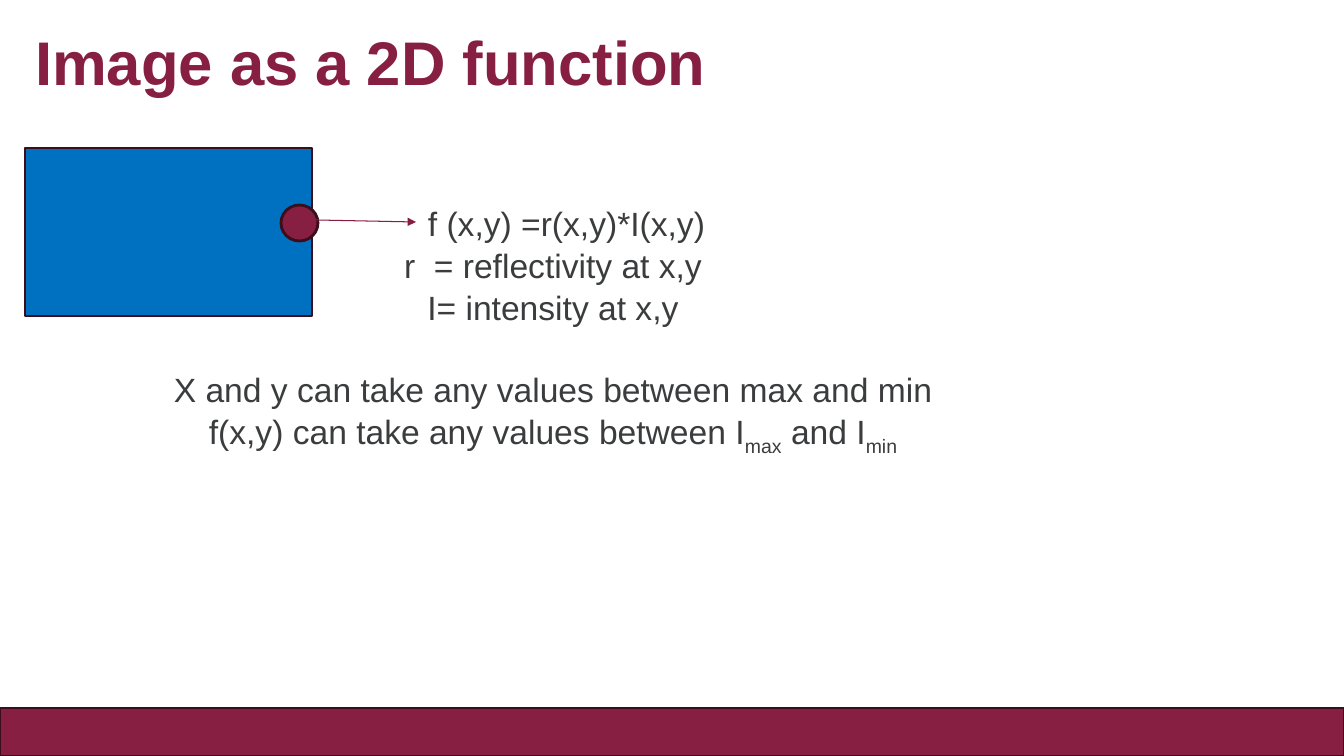
from lxml.etree import SubElement
from pptx import Presentation
from pptx.dml.color import RGBColor
from pptx.enum.shapes import MSO_CONNECTOR, MSO_SHAPE
from pptx.enum.text import MSO_ANCHOR, PP_ALIGN
from pptx.oxml.ns import qn
from pptx.util import Emu, Pt

MAROON, DARK, BLUE, GREY = "861F41", "3B0E1C", "0070C0", "3A3C3D"


def px(n):
    return Emu(round(n * 914400 / 100.8))


def rgb(value):
    return RGBColor.from_string(value)


class SlideBuilder:
    font = "Arial"

    def __init__(self, prs):
        self.s = prs.slides.add_slide(prs.slide_layouts[5])

    def style(self, r, size, color, bold=False):
        r.font.name, r.font.size, r.font.bold = self.font, Pt(size), bold
        r.font.color.rgb = rgb(color)

    def title(self, text, x, y, w, h):
        sp = self.s.shapes.title
        sp.left, sp.top, sp.width, sp.height = map(px, (x, y, w, h))
        tf = sp.text_frame
        tf.text = text
        tf.vertical_anchor = MSO_ANCHOR.MIDDLE
        p = tf.paragraphs[0]
        p.alignment, p.line_spacing = PP_ALIGN.LEFT, 0.9
        self.style(p.runs[0], 44, MAROON, True)

    def text(self, lines, x, y, w, h):
        """Each line is (runs, space before, left margin); a run is (text, rPr attributes)."""
        tf = self.s.shapes.add_textbox(*map(px, (x, y, w, h))).text_frame
        tf.word_wrap = True
        for i, (runs, before, margin) in enumerate(lines):
            p = tf.add_paragraph() if i else tf.paragraphs[0]
            p.alignment, p.space_before = PP_ALIGN.CENTER, Pt(before)
            if margin:
                p._p.get_or_add_pPr().set("marL", str(px(margin)))
            for text, attributes in runs:
                r = p.add_run()
                r.text = text
                self.style(r, 24, GREY)
                for name, value in attributes.items():
                    r._r.get_or_add_rPr().set(name, value)

    def shape(self, kind, x, y, w, h, fill):
        sp = self.s.shapes.add_shape(kind, *map(px, (x, y, w, h)))
        sp.shadow.inherit = False
        sp.fill.solid()
        sp.fill.fore_color.rgb = rgb(fill)
        sp.line.color.rgb = rgb(DARK)
        sp.line.width = Pt(2)

    def arrow(self, x1, y1, x2, y2, color):
        c = self.s.shapes.add_connector(MSO_CONNECTOR.STRAIGHT, *map(px, (x1, y1, x2, y2)))
        c.line.color.rgb = rgb(color)
        c.line.width = Pt(0.75)
        SubElement(c.line._get_or_add_ln(), qn("a:tailEnd"), type="triangle")
        SubElement(c._element.spPr, qn("a:effectLst"))


def main():
    prs = Presentation()
    prs.slide_width, prs.slide_height = px(1344), px(756)
    b = SlideBuilder(prs)
    b.title("Image as a 2D function", 25, 16, 853, 99)

    # Formula and value ranges
    sub = {"baseline": "-25000"}
    b.text([
        ([("f (x,y) =r(x,y)*I(x,y)", {})], 0, 27),
        ([("r", {}), (" ", {"spc": "667"}), ("= reflectivity at x,y", {})], 1.2, 0),
        ([("I= intensity at x,y", {})], 1.2, 0),
        ([("X and y can take any values between max and min", {})], 30, 0),
        ([("f(x,y) can take any values between I", {}), ("max", sub),
          (" and I", {}), ("min", sub)], 1.2, 0),
    ], 12, 198, 1082, 363)

    # Footer band
    b.shape(MSO_SHAPE.RECTANGLE, 0, 708, 1344, 48, MAROON)

    # Image area with a sampled point
    b.shape(MSO_SHAPE.RECTANGLE, 25, 148, 287, 168, BLUE)
    b.shape(MSO_SHAPE.OVAL, 281, 205, 37, 36, MAROON)
    b.arrow(316, 220, 416, 222, "861C3F")

    prs.save("out.pptx")


if __name__ == "__main__":
    main()
